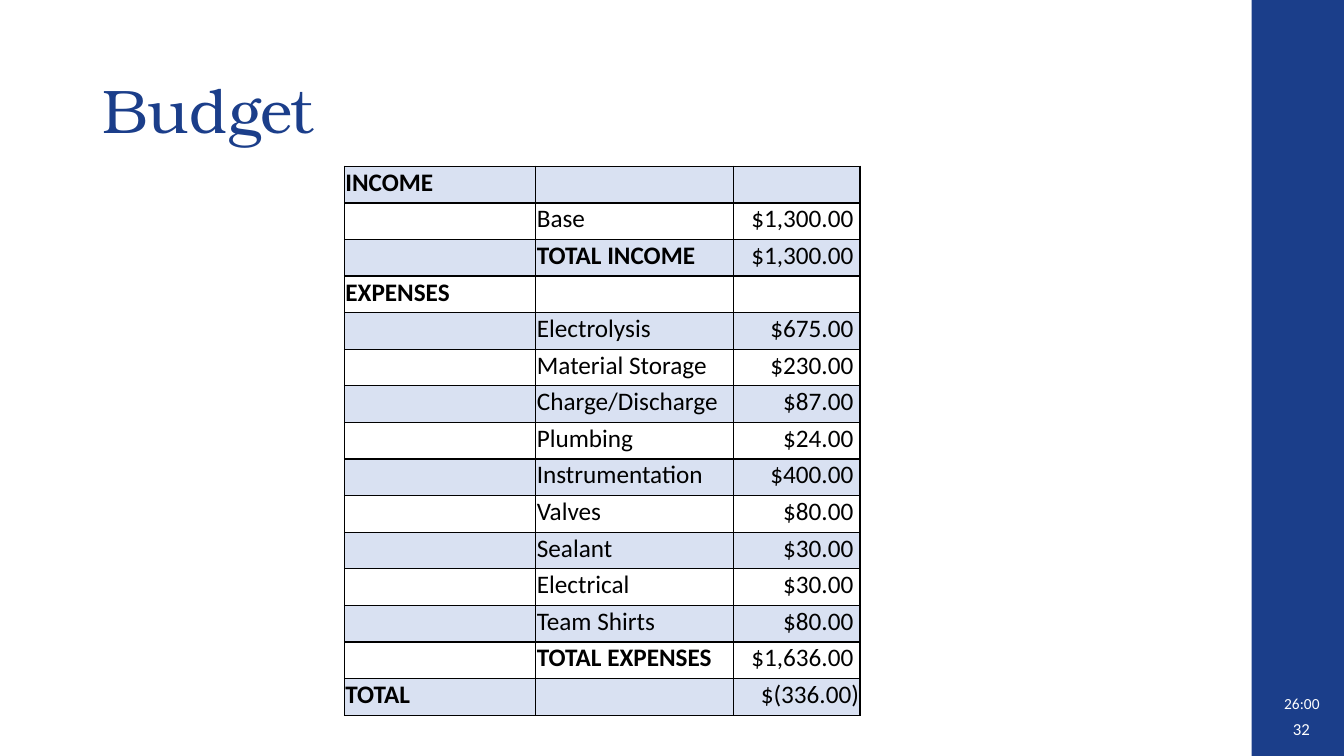
import pptx
import pptx.util
import pptx.dml.color
import pptx.enum.shapes
import pptx.enum.text
import pptx.oxml

RGBColor = pptx.dml.color.RGBColor
Align = pptx.enum.text.PP_ALIGN
Anchor = pptx.enum.text.MSO_ANCHOR

NAVY = RGBColor(0x1B, 0x3E, 0x8A)
PALE = RGBColor(0xD9, 0xE1, 0xF2)
WHITE = RGBColor(0xFF, 0xFF, 0xFF)
BLACK = RGBColor(0, 0, 0)

COLS, ROWS = 160, 90
WIDTHS = (22.8, 23.5, 15.1)
STEP = 4.36

BUDGET = [
    ("INCOME", "", ""),
    ("", "Base", "$1,300.00 "),
    ("", "TOTAL INCOME", "$1,300.00 "),
    ("EXPENSES", "", ""),
    ("", "Electrolysis", "$675.00 "),
    ("", "Material Storage", "$230.00 "),
    ("", "Charge/Discharge", "$87.00 "),
    ("", "Plumbing", "$24.00 "),
    ("", "Instrumentation", "$400.00 "),
    ("", "Valves", "$80.00 "),
    ("", "Sealant", "$30.00 "),
    ("", "Electrical", "$30.00 "),
    ("", "Team Shirts", "$80.00 "),
    ("", "TOTAL EXPENSES", "$1,636.00 "),
    ("TOTAL", "", "$(336.00)"),
]

EDGE = (
    '<a:{} xmlns:a="http://schemas.openxmlformats.org/drawingml/2006/main" w="12700">'
    '<a:solidFill><a:srgbClr val="{}"/></a:solidFill></a:{}>'
)


class Deck:
    head = "TeX Gyre Bonum"
    body = "Calibri"

    def __init__(self):
        self.show = pptx.Presentation()
        self.show.slide_width = pptx.util.Inches(13.33)
        self.show.slide_height = pptx.util.Inches(7.5)
        self.slide = self.show.slides.add_slide(self.show.slide_layouts[6])

    def across(self, cols):
        return round(self.show.slide_width * cols / COLS)

    def down(self, rows):
        return round(self.show.slide_height * rows / ROWS)

    def place(self, x, y, w, h):
        """Turn grid columns and rows into slide lengths."""
        return self.across(x), self.down(y), self.across(w), self.down(h)

    def style(self, para, face, size, color, bold=False, align=Align.LEFT):
        para.alignment = align
        font = para.font
        font.name, font.size, font.bold = face, pptx.util.Pt(size), bold
        font.color.rgb = color

    def band(self, *box):
        kind = pptx.enum.shapes.MSO_SHAPE.RECTANGLE
        shape = self.slide.shapes.add_shape(kind, *self.place(*box))
        shape.shadow.inherit = False
        shape.fill.solid()
        shape.fill.fore_color.rgb = NAVY
        shape.line.fill.background()

    def text(self, words, box, face, size, color, align=Align.LEFT, anchor=Anchor.MIDDLE):
        frame = self.slide.shapes.add_textbox(*self.place(*box)).text_frame
        frame.word_wrap = True
        frame.vertical_anchor = anchor
        para = frame.paragraphs[0]
        para.text = words
        self.style(para, face, size, color, align=align)
        return para

    def cell(self, cell, words, shade, align):
        cell.text = words
        cell.vertical_anchor = Anchor.BOTTOM
        cell.margin_left = cell.margin_top = cell.margin_right = pptx.util.Inches(0.01)
        cell.margin_bottom = pptx.util.Inches(0.05)
        if shade:
            cell.fill.solid()
            cell.fill.fore_color.rgb = PALE
        else:
            cell.fill.background()
        props = cell._tc.get_or_add_tcPr()
        for spot, side in enumerate(("lnL", "lnR", "lnT", "lnB")):
            props.insert(spot, pptx.oxml.parse_xml(EDGE.format(side, BLACK, side)))
        para = cell.text_frame.paragraphs[0]
        self.style(para, self.body, 18, BLACK, words.isupper(), align)

    def table(self, x, y, data):
        box = self.place(x, y, sum(WIDTHS), STEP * len(data))
        grid = self.slide.shapes.add_table(len(data), len(WIDTHS), *box).table
        grid.first_row = grid.horz_banding = False
        for col, width in zip(grid.columns, WIDTHS):
            col.width = self.across(width)
        for r, line in enumerate(data):
            grid.rows[r].height = self.down(STEP)
            for c, words in enumerate(line):
                align = Align.RIGHT if c == 2 else Align.LEFT
                self.cell(grid.cell(r, c), words, r % 2 == 0, align)


def main():
    deck = Deck()
    deck.band(149, 0, 11, 90)
    deck.text("32", (152.2, 84.4, 4.9, 4.8), deck.body, 12, WHITE, Align.RIGHT)
    title = deck.text("Budget", (11, 4.8, 138, 17.4), deck.head, 44, NAVY)
    title.line_spacing = 0.9
    deck.table(41, 19.8, BUDGET)
    deck.text("26:00", (151.7, 82, 6.9, 3.5), deck.body, 11, WHITE, anchor=Anchor.TOP)
    deck.show.save("out.pptx")


if __name__ == "__main__":
    main()
